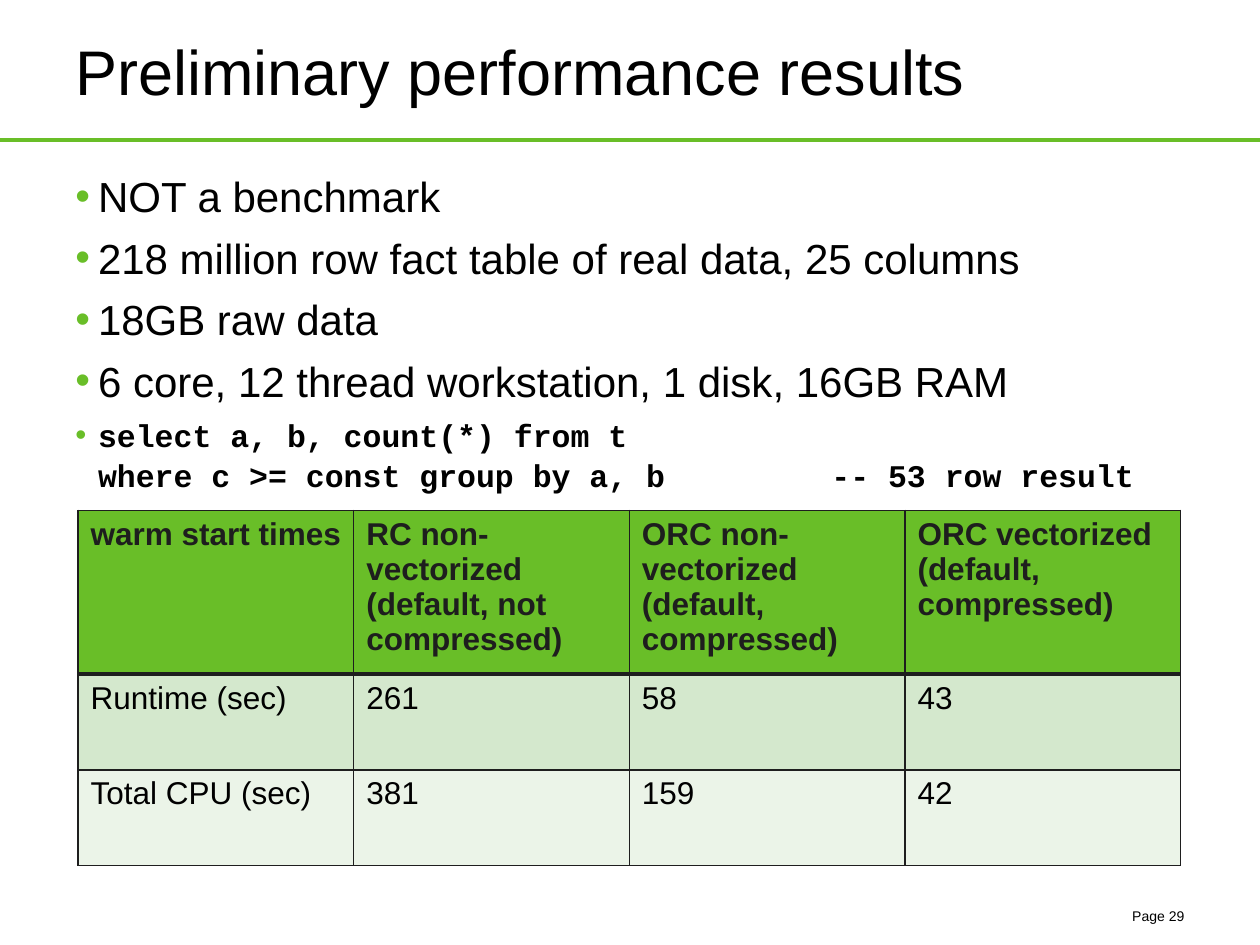
from dataclasses import dataclass

import pptx
import pptx.dml.color
import pptx.enum.shapes
import pptx.enum.text
import pptx.oxml.ns
import pptx.util
from lxml import etree

ANCHOR = pptx.enum.text.MSO_ANCHOR
ALIGN = pptx.enum.text.PP_ALIGN


@dataclass(frozen=True)
class Theme:
    green: str = "69BE28"
    black: str = "000000"
    ink: str = "1E1E1E"
    bands: tuple = ("D4E8CD", "EBF4E8")
    sans: str = "Arial"
    mono: str = "Courier New"
    title: int = 36
    body: int = 24
    small: int = 18
    footer: int = 8


def rgb(value):
    return pptx.dml.color.RGBColor.from_string(value)


def sub(parent, tag, **attrs):
    """Append a DrawingML element such as a:ln and return it."""
    return etree.SubElement(parent, pptx.oxml.ns.qn(tag), attrs)


def sub_color(parent, tag, color):
    sub(sub(parent, tag), "a:srgbClr", val=color)


class Deck:
    """Places elements on a slide; boxes are (left, top, width, height) shares."""

    def __init__(self, theme, width, height):
        self.theme = theme
        self.prs = pptx.Presentation()
        self.prs.slide_width = pptx.util.Inches(width)
        self.prs.slide_height = pptx.util.Inches(height)
        self.s = self.prs.slides.add_slide(self.prs.slide_layouts[6])

    def x(self, share):
        return round(self.prs.slide_width * share)

    def y(self, share):
        return round(self.prs.slide_height * share)

    def place(self, box):
        left, top, width, height = box
        return self.x(left), self.y(top), self.x(width), self.y(height)

    def font(self, p, size, color=None, name=None, bold=False):
        p.font.size = pptx.util.Pt(size)
        p.font.name = name or self.theme.sans
        p.font.bold = bold
        p.font.color.rgb = rgb(color or self.theme.black)

    def rule(self, top):
        line = self.s.shapes.add_connector(
            pptx.enum.shapes.MSO_CONNECTOR.STRAIGHT,
            0, self.y(top), self.x(1), self.y(top))
        line.line.color.rgb = rgb(self.theme.green)
        line.line.width = pptx.util.Pt(2)
        sub(line._element.spPr, "a:effectLst")

    def frame(self, box, anchor=ANCHOR.TOP):
        tf = self.s.shapes.add_textbox(*self.place(box)).text_frame
        tf.word_wrap = True
        tf.vertical_anchor = anchor
        return tf

    def text(self, box, text, size, align=ALIGN.LEFT):
        p = self.frame(box, ANCHOR.MIDDLE).paragraphs[0]
        p.text = text
        p.alignment = align
        self.font(p, size)

    def bullets(self, box, items, code, tab):
        """List plain items, then one code item with a tab stop at a width share."""
        tf = self.frame(box)
        indent = pptx.util.Inches(0.18)
        for i, item in enumerate(items + [code]):
            p = tf.paragraphs[0] if i == 0 else tf.add_paragraph()
            p.text = item
            p.line_spacing = 1.08
            p.space_before = pptx.util.Pt(4)
            pPr = p._p.get_or_add_pPr()
            pPr.set("marL", str(indent))
            pPr.set("indent", str(-indent))
            sub_color(pPr, "a:buClr", self.theme.green)
            sub(pPr, "a:buFont", typeface=self.theme.sans)
            sub(pPr, "a:buChar", char="•")
            if item == code:
                sub(sub(pPr, "a:tabLst"), "a:tab", pos=str(self.x(tab)), algn="l")
                self.font(p, self.theme.small, name=self.theme.mono, bold=True)
            else:
                self.font(p, self.theme.body)

    def borders(self, cell, top, bottom):
        tcPr = cell._tc.get_or_add_tcPr()
        for side, points in (("L", 1), ("R", 1), ("T", top), ("B", bottom)):
            ln = sub(tcPr, f"a:ln{side}", w=str(pptx.util.Pt(points)))
            sub_color(ln, "a:solidFill", self.theme.ink)

    def table(self, box, rows, heights):
        table = self.s.shapes.add_table(
            len(rows), len(rows[0]), *self.place(box)).table
        for i, (row, height) in enumerate(zip(rows, heights)):
            header = i == 0
            table.rows[i].height = self.y(height)
            fill = self.theme.green if header else self.theme.bands[(i - 1) % 2]
            for j, value in enumerate(row):
                cell = table.cell(i, j)
                cell.text = value
                self.borders(cell, 3 if i == 1 else 1, 3 if header else 1)
                cell.fill.solid()
                cell.fill.fore_color.rgb = rgb(fill)
                self.font(cell.text_frame.paragraphs[0], self.theme.small,
                          self.theme.ink if header else self.theme.black,
                          bold=header)


def main():
    theme = Theme()
    deck = Deck(theme, 10, 7.5)
    header = 1.11 / 7.5
    deck.rule(header)
    deck.text((0.05, 0, 0.9, header), "Preliminary performance results", theme.title)
    deck.bullets(
        (0.05, 0.17, 0.9, 0.33),
        ["NOT a benchmark",
         "218 million row fact table of real data, 25 columns",
         "18GB raw data",
         "6 core, 12 thread workstation, 1 disk, 16GB RAM"],
        "select a, b, count(*) from t\n"
        "where c >= const group by a, b\t-- 53 row result",
        tab=0.6)
    heights = (1.22 / 7.5, 0.76 / 7.5, 0.76 / 7.5)
    deck.table(
        (0.062, 0.54, 0.875, sum(heights)),
        [["warm start times",
          "RC non-vectorized (default, not compressed)",
          "ORC non-vectorized (default, compressed)",
          "ORC vectorized (default, compressed)"],
         ["Runtime (sec)", "261", "58", "43"],
         ["Total CPU (sec)", "381", "159", "42"]],
        heights)
    deck.text((0.717, 0.943, 0.233, 0.053), "Page 29", theme.footer, ALIGN.RIGHT)
    deck.prs.save("out.pptx")


if __name__ == "__main__":
    main()
